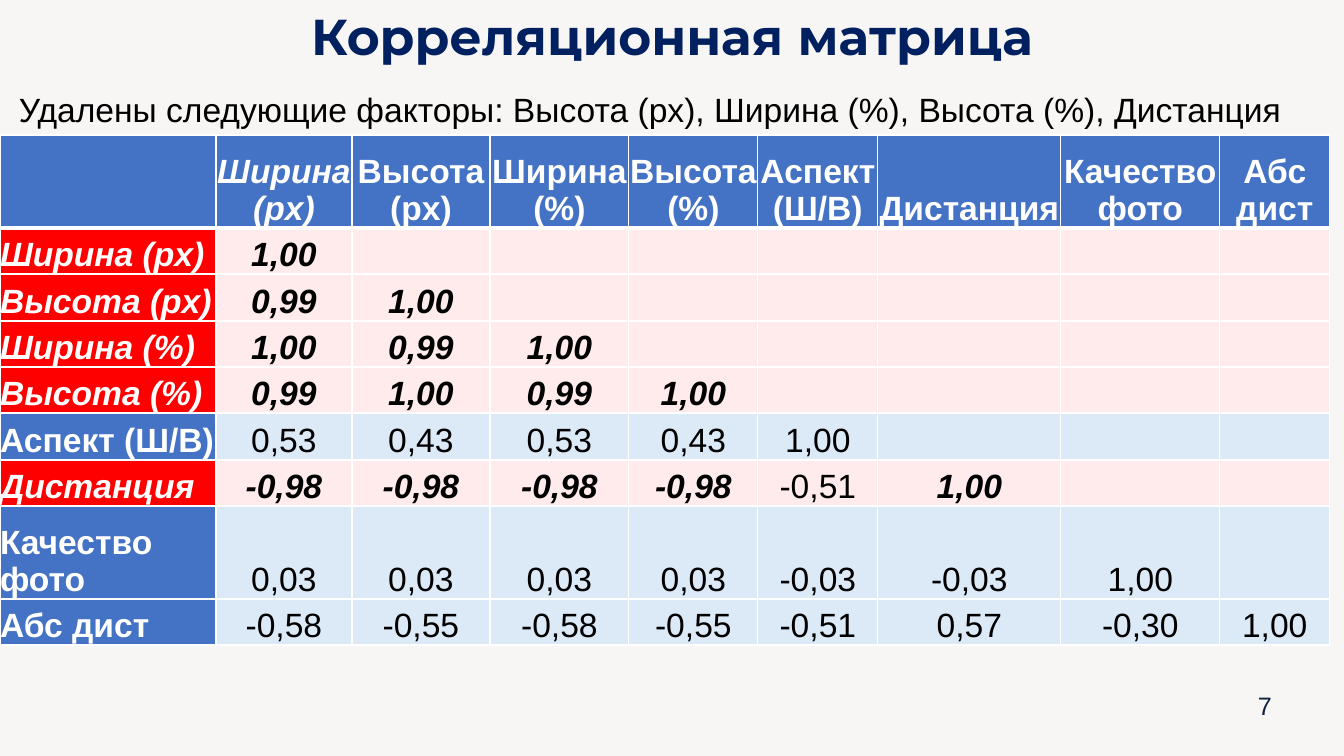
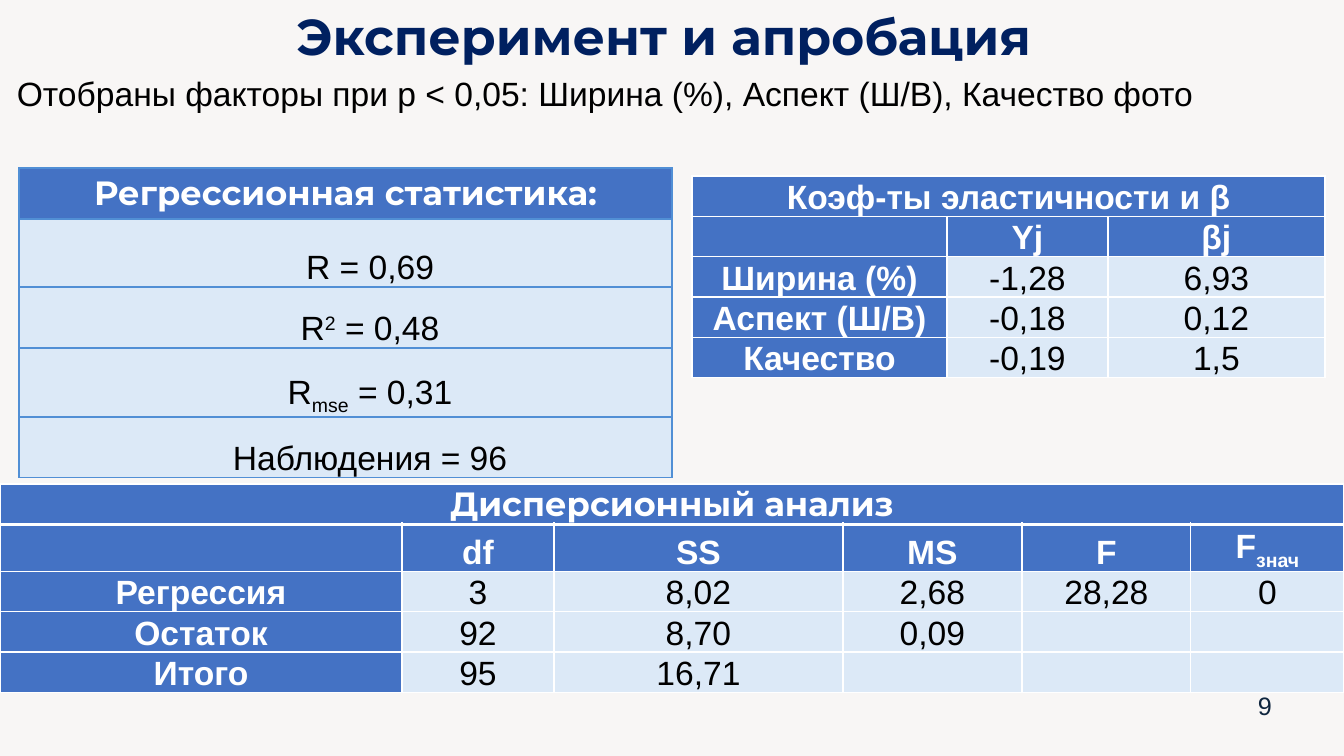
from dataclasses import dataclass

from lxml import etree
from pptx import Presentation
from pptx.dml.color import RGBColor
from pptx.enum.text import MSO_ANCHOR, MSO_AUTO_SIZE, PP_ALIGN
from pptx.oxml.ns import qn
from pptx.util import Emu, Pt

LEFT, CENTER = PP_ALIGN.LEFT, PP_ALIGN.CENTER
TOP, MIDDLE, BOTTOM = MSO_ANCHOR.TOP, MSO_ANCHOR.MIDDLE, MSO_ANCHOR.BOTTOM
NO_FIT = MSO_AUTO_SIZE.NONE
SLIDE_W, SLIDE_H = 1344, 756
TITLE_H = 84
TITLE_ONLY = 5


@dataclass(frozen=True)
class Theme:
    background: str = "F8F6F5"
    title: str = "002060"
    number: str = "0F253E"
    text: str = "000000"
    white: str = "FFFFFF"
    head: str = "4472C4"
    body: str = "DCE9F7"
    dropped_head: str = "FF0000"
    dropped_body: str = "FFEBEB"
    frame: str = "518FD5"
    title_font: str = "Montserrat"
    text_font: str = "Arial"
    title_size: int = 36
    text_size: int = 24
    number_size: int = 18


T = Theme()


def px(n):
    return Emu(round(n * 12192000 / SLIDE_W))


def set_font(p, name, size, color, bold=False, align=LEFT):
    p.alignment = align
    p.font.name, p.font.size, p.font.bold = name, Pt(size), bold
    p.font.color.rgb = RGBColor.from_string(color)


prs = Presentation()
prs.slide_width, prs.slide_height = px(SLIDE_W), px(SLIDE_H)
fill = prs.slide_master.background.fill
fill.solid()
fill.fore_color.rgb = RGBColor.from_string(T.background)
layout = prs.slide_layouts[TITLE_ONLY]

# Slide frames: title, title width, note, note position, number
FRAMES = [
    ("Корреляционная матрица", SLIDE_W,
     "Удалены следующие факторы: Высота (px), Ширина (%), Высота (%), Дистанция",
     (9, 84), "7"),
    ("Эксперимент и апробация", SLIDE_W - 16,
     "Отобраны факторы при p < 0,05: Ширина (%), Аспект (Ш/В), Качество фото",
     (7, 68), "9"),
]
slides = []
for title, title_w, note, (note_x, note_y), number in FRAMES:
    slide = prs.slides.add_slide(layout)
    sp = slide.shapes.title
    sp.left, sp.top, sp.width, sp.height = 0, 0, px(title_w), px(TITLE_H)
    tf = sp.text_frame
    tf.text, tf.vertical_anchor, tf.auto_size = title, TOP, NO_FIT
    set_font(tf.paragraphs[0], T.title_font, T.title_size, T.title, True, CENTER)

    tf = slide.shapes.add_textbox(px(note_x), px(note_y),
                                  px(SLIDE_W - note_x), px(50)).text_frame
    tf.text, tf.word_wrap = note, True
    set_font(tf.paragraphs[0], T.text_font, T.text_size, T.text)

    tf = slide.shapes.add_textbox(px(1240), px(685), px(50), px(40)).text_frame
    tf.text, tf.word_wrap, tf.vertical_anchor = number, True, MIDDLE
    set_font(tf.paragraphs[0], T.text_font, T.number_size, T.number, align=CENTER)
    slides.append(slide)
matrix_slide, results_slide = slides


def add_grid(slide, left, top, cols, rows, data, head_rows=1, head_cols=1,
             line=T.white, thick_head=False):
    """Add a table; a cell is a text or a tuple of (text, baseline %) runs,
    and a first row with a single text spans all columns."""
    table = slide.shapes.add_table(len(rows), len(cols), px(left), px(top),
                                   px(sum(cols)), px(sum(rows))).table
    for col, width in zip(table.columns, cols):
        col.width = px(width)
    for row, height in zip(table.rows, rows):
        row.height = px(height)
    for i, values in enumerate(data):
        for j in range(len(cols)):
            cell = table.cell(i, j)
            is_head = i < head_rows or j < head_cols
            cell.margin_left = cell.margin_right = 0
            cell.margin_top = cell.margin_bottom = 0
            cell.vertical_anchor = BOTTOM
            p = cell.text_frame.paragraphs[0]
            set_font(p, T.text_font, T.text_size, T.white if is_head else T.text,
                     is_head, CENTER)
            value = values[j] if j < len(values) else ""
            for text, baseline in value if isinstance(value, tuple) else [(value, 0)]:
                if text:
                    r = p.add_run()
                    r.text = text
                    if baseline:
                        r.font._element.set("baseline", str(baseline * 1000))
            tc_pr = cell._tc.get_or_add_tcPr()
            for side in "LRTB":
                thick = thick_head and (i, side) in ((0, "B"), (1, "T"))
                ln = etree.SubElement(tc_pr, qn(f"a:ln{side}"), w=str(Pt(3 if thick else 1)))
                solid = etree.SubElement(ln, qn("a:solidFill"))
                etree.SubElement(solid, qn("a:srgbClr"), val=line)
            cell.fill.solid()
            cell.fill.fore_color.rgb = RGBColor.from_string(T.head if is_head else T.body)
    if len(data[0]) == 1 < len(cols):
        table.cell(0, 0).merge(table.cell(0, len(cols) - 1))
    return table


# Correlation matrix
FACTORS = ["Ширина (px)", "Высота (px)", "Ширина (%)", "Высота (%)",
           "Аспект (Ш/В)", "Дистанция", "Качество фото", "Абс дист"]
DROPPED = {1, 2, 3, 4, 6}
CORRELATIONS = [
    ["1,00"],
    ["0,99", "1,00"],
    ["1,00", "0,99", "1,00"],
    ["0,99", "1,00", "0,99", "1,00"],
    ["0,53", "0,43", "0,53", "0,43", "1,00"],
    ["-0,98", "-0,98", "-0,98", "-0,98", "-0,51", "1,00"],
    ["0,03", "0,03", "0,03", "0,03", "-0,03", "-0,03", "1,00"],
    ["-0,58", "-0,55", "-0,58", "-0,55", "-0,51", "0,57", "-0,30", "1,00"],
]
matrix = add_grid(
    matrix_slide, 0, 135,
    [216, 136, 138, 139, 129, 120, 183, 159, 110],
    [93, 46, 47, 46, 46, 47, 46, 93, 46],
    [["", *FACTORS]] + [[f, *values] for f, values in zip(FACTORS, CORRELATIONS)],
    thick_head=True)
matrix.cell(0, 1).text_frame.paragraphs[0].font.italic = True
for i in range(1, len(FACTORS) + 1):
    matrix.cell(i, 0).text_frame.paragraphs[0].alignment = LEFT
    if i not in DROPPED:
        continue
    for j in range(len(FACTORS) + 1):
        cell = matrix.cell(i, j)
        color = T.dropped_body if j else T.dropped_head
        cell.fill.fore_color.rgb = RGBColor.from_string(color)
        if j == 0 or j in DROPPED:
            font = cell.text_frame.paragraphs[0].font
            font.bold = font.italic = True

# Regression statistics
regression = add_grid(
    results_slide, 19, 168, [653], [51, 68, 61, 69, 60],
    [["Регрессионная статистика:"],
     ["R = 0,69"],
     [(("R", 0), ("2", 30), (" = 0,48", 0))],
     [(("R", 0), ("mse", -25), (" = 0,31", 0))],
     ["Наблюдения = 96"]],
    head_cols=0, line=T.frame)
regression.cell(0, 0).vertical_anchor = MIDDLE
for i in range(1, 5):
    p = regression.cell(i, 0).text_frame.paragraphs[0]
    p.line_spacing = 1.5
    p._p.get_or_add_pPr().set("indent", str(px(49)))

# Elasticity and beta coefficients
add_grid(
    results_slide, 692, 176, [255, 161, 217], [40] * 5,
    [["Коэф-ты эластичности и β"],
     ["", "Yj", "βj"],
     ["Ширина (%)", "-1,28", "6,93"],
     ["Аспект (Ш/В)", "-0,18", "0,12"],
     ["Качество", "-0,19", "1,5"]],
    head_rows=2)

# Analysis of variance
variance = add_grid(
    results_slide, 0, 484, [402, 152, 289, 179, 169, 153], [40, 47, 40, 40, 40],
    [["Дисперсионный анализ"],
     ["", "df", "SS", "MS", "F", (("F", 0), ("знач", -25))],
     ["Регрессия", "3", "8,02", "2,68", "28,28", "0"],
     ["Остаток", "92", "8,70", "0,09"],
     ["Итого", "95", "16,71"]],
    head_rows=2, thick_head=True)
for table in (regression, variance):
    table.cell(0, 0).text_frame.paragraphs[0].font.name = T.title_font

prs.save("out.pptx")
